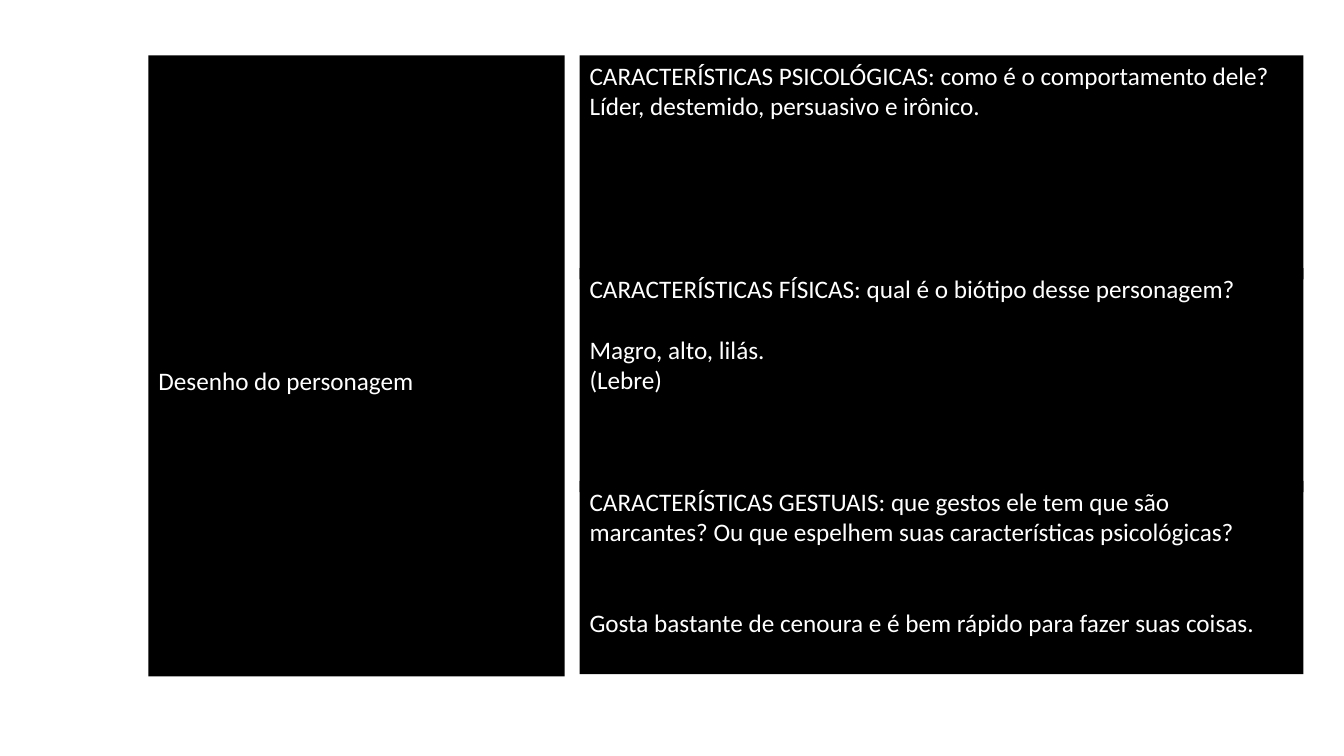
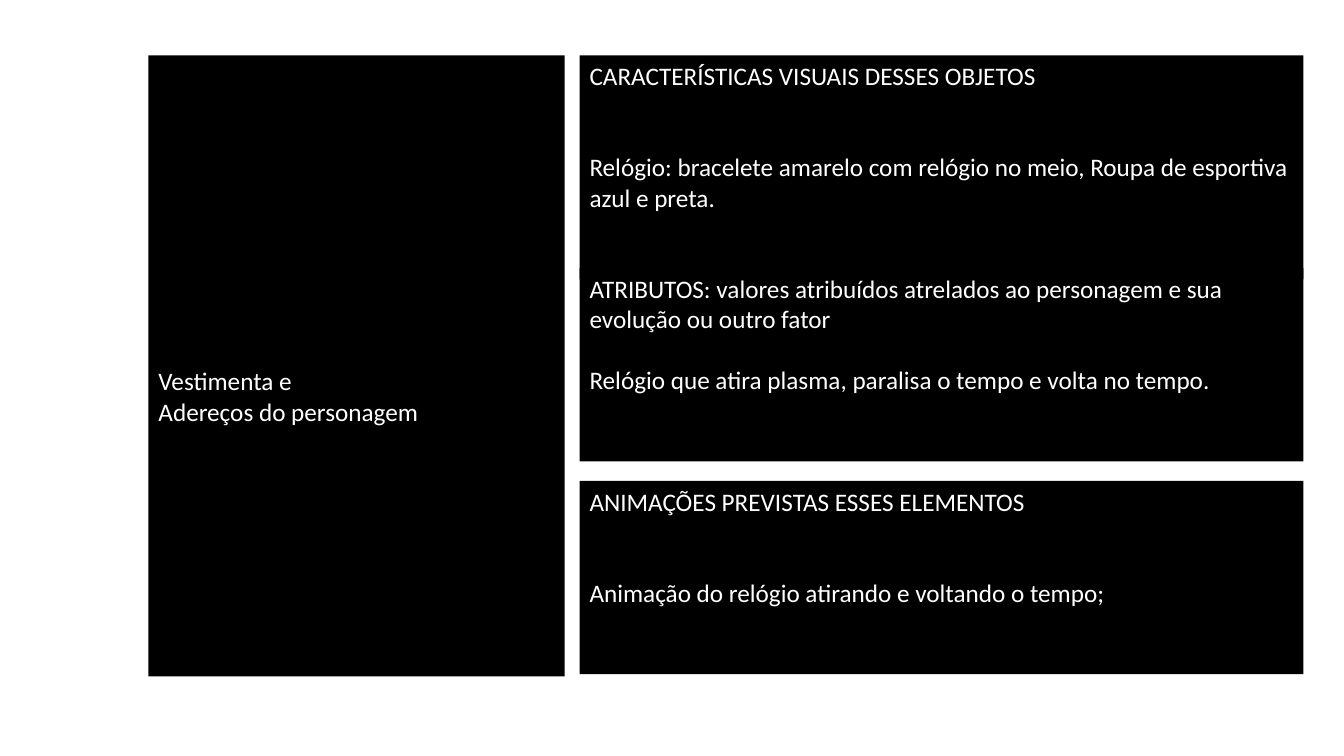
from pptx import Presentation
from pptx.dml.color import RGBColor
from pptx.enum.shapes import MSO_SHAPE
from pptx.enum.text import MSO_ANCHOR, MSO_AUTO_SIZE, PP_ALIGN
from pptx.util import Pt

BLACK, WHITE = "000000", "FFFFFF"
TOP, STEP = 39.6, 152
TALL, SHORT = 160, 138
LINE = 21.8
FRAME = {
    "word_wrap": True,
    "auto_size": MSO_AUTO_SIZE.NONE,
    "vertical_anchor": MSO_ANCHOR.TOP,
    "margin_left": Pt(7.2),
    "margin_right": Pt(7.2),
    "margin_top": Pt(3.6),
    "margin_bottom": Pt(3.6),
}
FONT = {"name": "Calibri", "size": Pt(18), "bold": False}

SHEETS = [
    (["Desenho do personagem"], [
        (TALL, [
            (0, "CARACTERÍSTICAS PSICOLÓGICAS: como é o comportamento dele?"),
            (0, "Líder, destemido, persuasivo e irônico."),
        ]),
        (TALL, [
            (0, "CARACTERÍSTICAS FÍSICAS: qual é o biótipo desse personagem?"),
            (1, "Magro, alto, lilás."),
            (0, "(Lebre)"),
        ]),
        (SHORT, [
            (0, "CARACTERÍSTICAS GESTUAIS: que gestos ele tem que são marcantes? "
                "Ou que espelhem suas características psicológicas?"),
            (2, "Gosta bastante de cenoura e é bem rápido para fazer suas coisas."),
        ]),
    ]),
    (["Vestimenta e", "Adereços do personagem"], [
        (TALL, [
            (0, "CARACTERÍSTICAS VISUAIS DESSES OBJETOS"),
            (2, "Relógio: bracelete amarelo com relógio no meio, "
                "Roupa de esportiva azul e preta."),
        ]),
        (SHORT, [
            (0, "ATRIBUTOS: valores atribuídos atrelados ao personagem e sua "
                "evolução ou outro fator"),
            (1, "Relógio que atira plasma, paralisa o tempo e volta no tempo."),
        ]),
        (SHORT, [
            (0, "ANIMAÇÕES PREVISTAS ESSES ELEMENTOS"),
            (2, "Animação do relógio atirando e voltando o tempo;"),
        ]),
    ]),
]


def paint(color, code):
    """Set a colour format from a hex string."""
    color.rgb = RGBColor.from_string(code)


def apply(item, values):
    """Set each attribute of an object from a dict."""
    for name, value in values.items():
        setattr(item, name, value)


def write(shape, lines, **extra):
    """Fill a black box with white lines, each after a gap counted in lines."""
    shape.fill.solid()
    paint(shape.fill.fore_color, BLACK)
    frame = shape.text_frame
    apply(frame, {**FRAME, **extra})
    for i, (gap, text) in enumerate(lines):
        para = frame.add_paragraph() if i else frame.paragraphs[0]
        apply(para, {"alignment": PP_ALIGN.LEFT, "space_before": Pt(gap * LINE)})
        run = para.add_run()
        run.text = text
        apply(run.font, FONT)
        paint(run.font.color, WHITE)


def add_label(slide, lines):
    """Turn the title into the tall box on the left."""
    title = slide.shapes.title
    apply(title, {"left": Pt(106), "top": Pt(TOP),
                  "width": Pt(297.4), "height": Pt(443.5)})
    write(title, [(0, text) for text in lines], margin_top=Pt(3.6 + 10 * LINE))


def add_panel(slide, row, height, lines):
    """Add one box of the right-hand column."""
    panel = slide.shapes.add_shape(
        MSO_SHAPE.RECTANGLE, Pt(414), Pt(TOP + row * STEP), Pt(517), Pt(height))
    panel.shadow.inherit = False
    panel.line.fill.background()
    write(panel, lines)


def main():
    """Build and save the character sheets."""
    deck = Presentation()
    apply(deck, {"slide_width": Pt(960), "slide_height": Pt(540)})
    for label, panels in SHEETS:
        slide = deck.slides.add_slide(deck.slide_layouts.get_by_name("Title Only"))
        add_label(slide, label)
        for row, (height, lines) in enumerate(panels):
            add_panel(slide, row, height, lines)
    deck.save("out.pptx")


if __name__ == "__main__":
    main()
